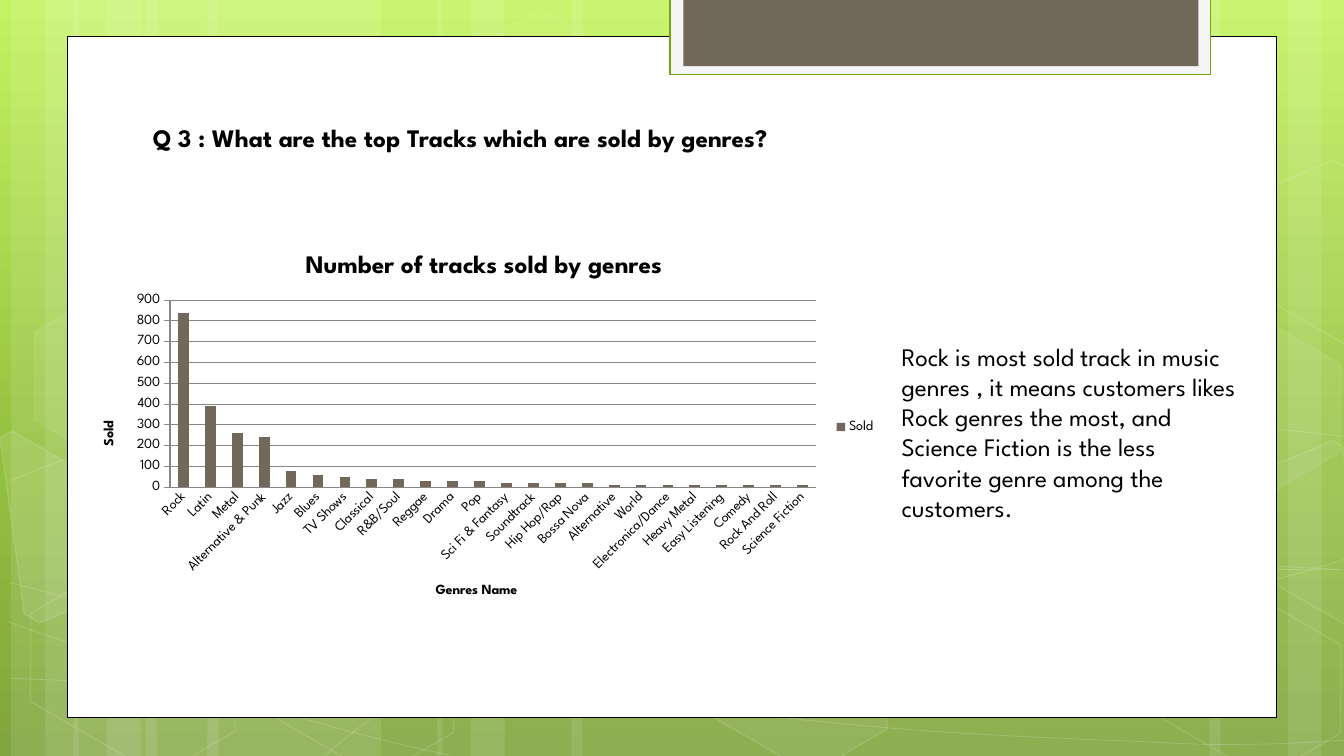
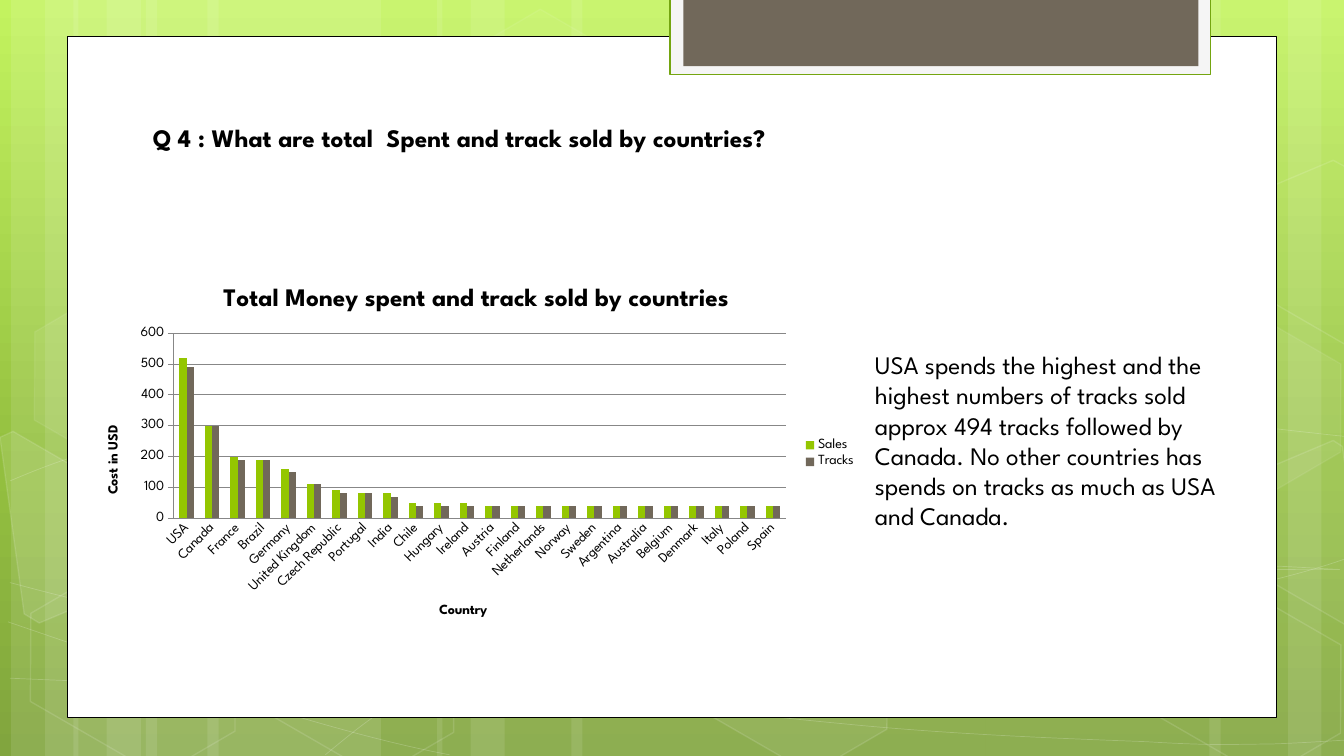
"""Build two slides on music sales, each with a column chart and a remark."""
from lxml.etree import SubElement
from pptx import Presentation
from pptx.chart.data import CategoryChartData
from pptx.dml.color import RGBColor
from pptx.enum.chart import XL_CHART_TYPE, XL_LEGEND_POSITION, XL_TICK_MARK
from pptx.enum.shapes import MSO_SHAPE
from pptx.enum.text import MSO_ANCHOR, PP_ALIGN
from pptx.oxml.ns import qn
from pptx.util import Cm, Pt

FONT = "League Spartan"
COLORS = {
    "white": "FFFFFF", "black": "000000", "paper": "F5F5F5", "green": "94C600",
    "border": "74A510", "brown": "71685A", "grid": "878787",
}
BACKGROUND = [(0, "C3F35F"), (62, "93BF3F"), (100, "81A53E")]

STRIPES = [
    (3.68, 5.92), (0.28, 1.7), (1.14, 2.82), (5.23, 5.92), (1.85, 1.7), (2.69, 2.82),
    (24.84, 5.92), (32.46, 1.7), (30.48, 2.82), (14.4, 10.44), (11.02, 1.7), (11.86, 2.82),
]
CURVES = [
    [(0.25, 17.09), (2.08, 17.17), (3.91, 17.25), (6.45, 17.22), (8.99, 17.2),
     (12.12, 17.15), (15.49, 16.89), (18.9, 16.64), (23.7, 16.15), (26.8, 15.67),
     (29.92, 15.19), (33.1, 14.43), (34.11, 14)],
    [(0.25, 12.12), (1.22, 11.71), (2.18, 11.33), (4.11, 10.95), (6.05, 10.57),
     (8.76, 10.01), (11.76, 9.83), (14.78, 9.68), (18.42, 9.63), (22.15, 9.83),
     (25.88, 10.03), (32.08, 10.82), (34.11, 11.02)],
    [(0.2, 15.67), (4.29, 17.07), (8.38, 18.47), (11.33, 19.02)],
    [(0.25, 14.68), (1.3, 14.96), (2.36, 15.24), (4.34, 15.65), (6.3, 16.03),
     (9.25, 16.66), (12.07, 17.09), (14.88, 17.53), (18.47, 17.98), (21.26, 18.24),
     (24.08, 18.52), (27.08, 18.62), (28.88, 18.69), (30.66, 18.8), (31.12, 18.75),
     (32, 18.75), (32.87, 18.72), (33.5, 18.67), (34.11, 18.64)],
    [(8.2, 19.02), (8.81, 18.52), (9.4, 18.01), (10.24, 17.55), (11.05, 17.09),
     (12.19, 16.59), (13.13, 16.23), (14.07, 15.88), (14.66, 15.72), (15.9, 15.47),
     (17.15, 15.21), (19.43, 14.86), (20.6, 14.68), (21.79, 14.5), (21.97, 14.5),
     (23.04, 14.45), (24.08, 14.38), (25.73, 14.3), (26.9, 14.27), (28.07, 14.25),
     (30.02, 14.27), (30.02, 14.27), (30.77, 14.27), (31.51, 14.27), (32.26, 14.27),
     (32.89, 14.3), (33.32, 14.33), (33.76, 14.35), (34.06, 14.38)],
]
HEXAGONS = [
    (11.3, 0.91, 4, 8), (16.81, 14.96, 6, 12), (0.38, 15.01, 0, 12), (0.48, 7.92, 7, 8),
    (5.89, 15.04, 0, 12), (28.24, 15.06, 0, 12), (28.24, 7.98, 7, 8),
]
CUT_HEXAGONS = [
    (10, [(0, 11.02), (0.33, 10.87), (2.92, 12.37), (3.23, 14.76), (0.99, 15.7), (0.61, 15.47)]),
    (4, [(31.37, 12.04), (33.6, 11.1), (33.83, 11.25), (34.47, 15.88), (34.26, 15.95),
         (31.67, 14.45)]),
    (0, [(31.37, 4.98), (33.6, 4.04), (33.88, 4.19), (34.47, 8.79), (34.26, 8.89),
         (31.67, 7.39)]),
]
PANELS = [
    ((1.69, 0.91, 30.48, 17.18), "white", "black", 0.5),
    ((16.89, -0.05, 13.62, 1.93), "paper", "border", 1.25),
    ((17.22, -0.05, 12.98, 1.72), "brown", None, 0),
]

SLIDES = [
    {
        "title": "Q 3 : What are the top Tracks which are sold by genres?",
        "remark": "Rock is most sold track in music genres , it means customers likes Rock "
                  "genres the most, and Science Fiction is the less favorite genre among the "
                  "customers.",
        "remark_at": (22.47, 8.47, 9.09, 5.64),
        "chart_at": (2.06, 5.92, 20.27, 9.68),
        "chart_title": "Number of tracks sold by genres",
        "axes": ("Genres Name", "Sold"),
        "categories": [
            "Rock", "Latin", "Metal", "Alternative & Punk", "Jazz", "Blues", "TV Shows",
            "Classical", "R&B/Soul", "Reggae", "Drama", "Pop", "Sci Fi & Fantasy",
            "Soundtrack", "Hip Hop/Rap", "Bossa Nova", "Alternative", "World",
            "Electronica/Dance", "Heavy Metal", "Easy Listening", "Comedy",
            "Rock And Roll", "Science Fiction",
        ],
        "series": [("Sold", "brown", [840, 390, 260, 240, 80, 60, 50, 40, 40, 30, 30, 30]
                    + [20] * 4 + [10] * 8)],
    },
    {
        "title": "Q 4 : What are total  Spent and track sold by countries?",
        "remark": "USA spends the highest and the highest numbers of tracks sold approx 494 "
                  "tracks followed by Canada. No other countries has spends on tracks as much "
                  "as USA and Canada.",
        "remark_at": (21.8, 8.68, 9.73, 5.64),
        "chart_at": (2.17, 6.77, 19.67, 9.32),
        "chart_title": "Total Money spent and track sold by countries",
        "axes": ("Country", "Cost in USD"),
        "categories": [
            "USA", "Canada", "France", "Brazil", "Germany", "United Kingdom",
            "Czech Republic", "Portugal", "India", "Chile", "Hungary", "Ireland", "Austria",
            "Finland", "Netherlands", "Norway", "Sweden", "Argentina", "Australia",
            "Belgium", "Denmark", "Italy", "Poland", "Spain",
        ],
        "series": [
            ("Sales", "green", [520, 300, 200, 190, 160, 110, 90, 80, 80] + [50] * 3 + [40] * 12),
            ("Tracks", "brown", [490, 300, 190, 190, 150, 110, 80, 80, 70] + [40] * 15),
        ],
    },
]


def paint(shape, fill, line, weight=1, fill_alpha=100, line_alpha=100):
    """Set the fill and line of a shape, with opacity in percent."""
    shape.shadow.inherit = False
    alphas = []
    if fill and fill_alpha:
        shape.fill.solid()
        shape.fill.fore_color.rgb = RGBColor.from_string(COLORS[fill])
        alphas.append(fill_alpha)
    else:
        shape.fill.background()
    if line:
        shape.line.color.rgb = RGBColor.from_string(COLORS[line])
        shape.line.width = Pt(weight)
        alphas.append(line_alpha)
    else:
        shape.line.fill.background()
    for color, alpha in zip(shape.element.spPr.iter(qn("a:srgbClr")), alphas):
        if alpha < 100:
            SubElement(color, qn("a:alpha"), val=str(alpha * 1000))


def style(font, size, bold=False):
    """Set the shared typeface in black."""
    font.name = FONT
    font.size = Pt(size)
    font.bold = bold
    font.color.rgb = RGBColor.from_string(COLORS["black"])


deck = Presentation()
deck.slide_width, deck.slide_height = Cm(33.87), Cm(19.05)
layout = deck.slide_layouts[5]
for placeholder in list(layout.placeholders)[1:]:
    layout.shapes.element.remove(placeholder.element)
pages = [deck.slides.add_slide(layout) for _ in SLIDES]

background = layout.background.fill
background.gradient()
background.gradient_angle = 270
stops = next(layout.element.iter(qn("a:gsLst")))
for stop in list(stops):
    stops.remove(stop)
for position, color in BACKGROUND:
    stop = SubElement(stops, qn("a:gs"), pos=str(position * 1000))
    SubElement(stop, qn("a:srgbClr"), val=color)

decor = pages[0].shapes.add_group_shape()
for left, width in STRIPES:
    stripe = decor.shapes.add_shape(MSO_SHAPE.RECTANGLE, Cm(left), 0, Cm(width), deck.slide_height)
    paint(stripe, "white", None, fill_alpha=10)

for points in CURVES:
    knots = [(Cm(x), Cm(y)) for x, y in points]
    builder = decor.shapes.build_freeform(*knots[0])
    builder.add_line_segments(knots[1:], close=False)
    curve = builder.convert_to_shape()
    outline = next(curve.element.iter(qn("a:path")))
    segments = outline.findall(qn("a:lnTo"))
    for start in range(0, len(segments), 3):
        bend = SubElement(outline, qn("a:cubicBezTo"))
        for segment in segments[start:start + 3]:
            bend.append(segment[0])
            outline.remove(segment)
    paint(curve, None, "white", 0.5, line_alpha=20)

for left, top, fill_alpha, line_alpha in HEXAGONS:
    hexagon = decor.shapes.add_shape(MSO_SHAPE.HEXAGON, Cm(left), Cm(top), Cm(5.94), Cm(3.86))
    hexagon.adjustments[0] = 0.285
    hexagon.rotation = 30
    paint(hexagon, "white", "white", 1, fill_alpha, line_alpha)

for fill_alpha, points in CUT_HEXAGONS:
    corners = [(Cm(x), Cm(y)) for x, y in points]
    builder = decor.shapes.build_freeform(*corners[0])
    builder.add_line_segments(corners[1:], close=True)
    paint(builder.convert_to_shape(), "white", "white", 1, fill_alpha, 12)

for place, fill, line, weight in PANELS:
    panel = decor.shapes.add_shape(MSO_SHAPE.RECTANGLE, *map(Cm, place))
    paint(panel, fill, line, weight)
layout.shapes.element.insert(2, decor.element)

for page, content in zip(pages, SLIDES):
    title = page.shapes.title
    title.left, title.top, title.width, title.height = map(Cm, (3.6, 2.96, 25.6, 1.03))
    title.text_frame.text = content["title"]
    title.text_frame.vertical_anchor = MSO_ANCHOR.TOP
    heading = title.text_frame.paragraphs[0]
    heading.alignment = PP_ALIGN.LEFT
    style(heading.font, 18, bold=True)

    remark = page.shapes.add_textbox(*map(Cm, content["remark_at"])).text_frame
    remark.word_wrap = True
    remark.text = content["remark"]
    style(remark.paragraphs[0].font, 18)

    data = CategoryChartData()
    data.categories = content["categories"]
    for name, _, values in content["series"]:
        data.add_series(name, values)
    chart = page.shapes.add_chart(
        XL_CHART_TYPE.COLUMN_CLUSTERED, *map(Cm, content["chart_at"]), data).chart
    style(chart.font, 10)
    chart.has_title = True
    chart.chart_title.text_frame.text = content["chart_title"]
    style(chart.chart_title.text_frame.paragraphs[0].font, 18, bold=True)
    chart.has_legend = True
    chart.legend.position = XL_LEGEND_POSITION.RIGHT
    chart.legend.include_in_layout = False

    for axis, label in zip((chart.category_axis, chart.value_axis), content["axes"]):
        axis.axis_title.text_frame.text = label
        style(axis.axis_title.text_frame.paragraphs[0].font, 10, bold=True)
        style(axis.tick_labels.font, 10)
        axis.format.line.color.rgb = RGBColor.from_string(COLORS["grid"])
    chart.category_axis.major_tick_mark = XL_TICK_MARK.NONE
    chart.category_axis._element.txPr.bodyPr.set("rot", "-2700000")
    chart.value_axis.major_tick_mark = XL_TICK_MARK.OUTSIDE
    gridlines = chart.value_axis.major_gridlines.format.line
    gridlines.color.rgb = RGBColor.from_string(COLORS["grid"])

    plot = chart.plots[0]
    plot.gap_width = 150
    plot.overlap = 0
    plot.vary_by_categories = False
    for series, (_, color, _) in zip(plot.series, content["series"]):
        series.format.fill.solid()
        series.format.fill.fore_color.rgb = RGBColor.from_string(COLORS[color])

deck.save("out.pptx")
